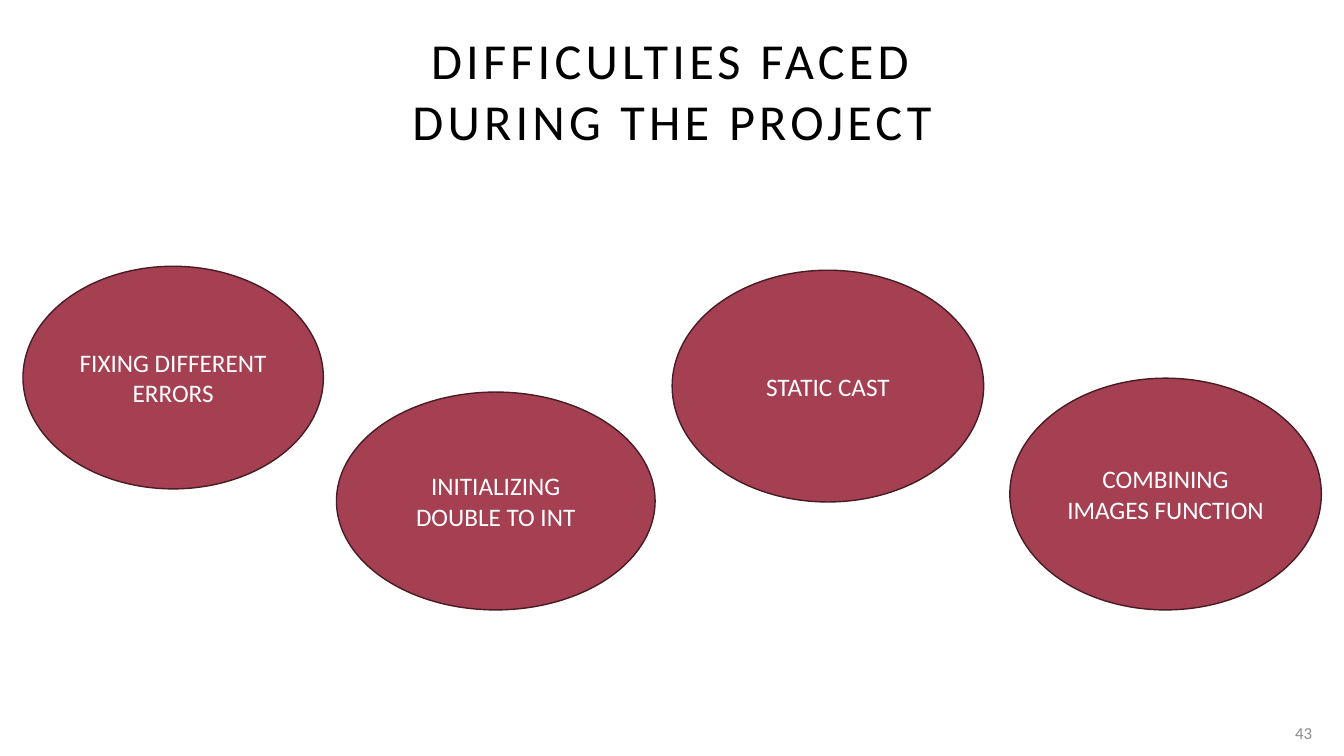
import dataclasses

import pptx
import pptx.dml.color
import pptx.enum.shapes
import pptx.enum.text
import pptx.util

Cm = pptx.util.Cm
Align = pptx.enum.text.PP_ALIGN
FONT = "Calibri"


@dataclasses.dataclass(frozen=True)
class Difficulty:
    label: str
    left: float
    top: float
    width: float
    height: float


DIFFICULTIES = [
    Difficulty("STATIC CAST", 16.94, 6.81, 7.85, 5.84),
    Difficulty("FIXING DIFFERENT ERRORS", 0.58, 6.71, 7.57, 5.61),
    Difficulty("INITIALIZING DOUBLE TO INT", 8.48, 9.88, 8.03, 5.49),
    Difficulty("COMBINING IMAGES FUNCTION", 25.45, 9.53, 7.85, 5.84),
]


def color(hex_code: str) -> pptx.dml.color.RGBColor:
    return pptx.dml.color.RGBColor.from_string(hex_code)


def write(frame, text: str, size: float, hex_code: str, align):
    """Fill a text frame with one middle-anchored run and return the run."""
    frame.word_wrap = True
    frame.auto_size = pptx.enum.text.MSO_AUTO_SIZE.NONE
    frame.vertical_anchor = pptx.enum.text.MSO_ANCHOR.MIDDLE
    paragraph = frame.paragraphs[0]
    paragraph.alignment = align
    run = paragraph.add_run()
    run.text = text
    run.font.name = FONT
    run.font.size = pptx.util.Pt(size)
    run.font.color.rgb = color(hex_code)
    return run


def add_difficulty(slide, item: Difficulty) -> None:
    bubble = slide.shapes.add_shape(
        pptx.enum.shapes.MSO_SHAPE.OVAL,
        Cm(item.left), Cm(item.top), Cm(item.width), Cm(item.height),
    )
    bubble.shadow.inherit = False
    bubble.fill.solid()
    bubble.fill.fore_color.rgb = color("A53F52")
    bubble.line.color.rgb = color("481C24")
    bubble.line.width = pptx.util.Pt(1)
    write(bubble.text_frame, item.label, 18, "FFFFFF", Align.CENTER)


def main() -> None:
    deck = pptx.Presentation()
    deck.slide_width, deck.slide_height = Cm(33.87), Cm(19.05)
    slide = deck.slides.add_slide(deck.slide_layouts[5])

    # Title with wide letter spacing
    title = slide.shapes.title
    title.left, title.top = Cm(8.31), Cm(0.79)
    title.width, title.height = Cm(17.27), Cm(2.95)
    heading = write(title.text_frame, "DIFFICULTIES FACED DURING THE PROJECT",
                    36, "000000", Align.CENTER)
    heading.font._element.set("spc", "300")

    # Page number
    page_number = slide.shapes.add_textbox(Cm(32.08), Cm(17.96), Cm(1.24), Cm(1.02))
    write(page_number.text_frame, "43", 12, "8C8C8C", Align.RIGHT)

    # Difficulties
    for item in DIFFICULTIES:
        add_difficulty(slide, item)

    deck.save("out.pptx")


if __name__ == "__main__":
    main()
